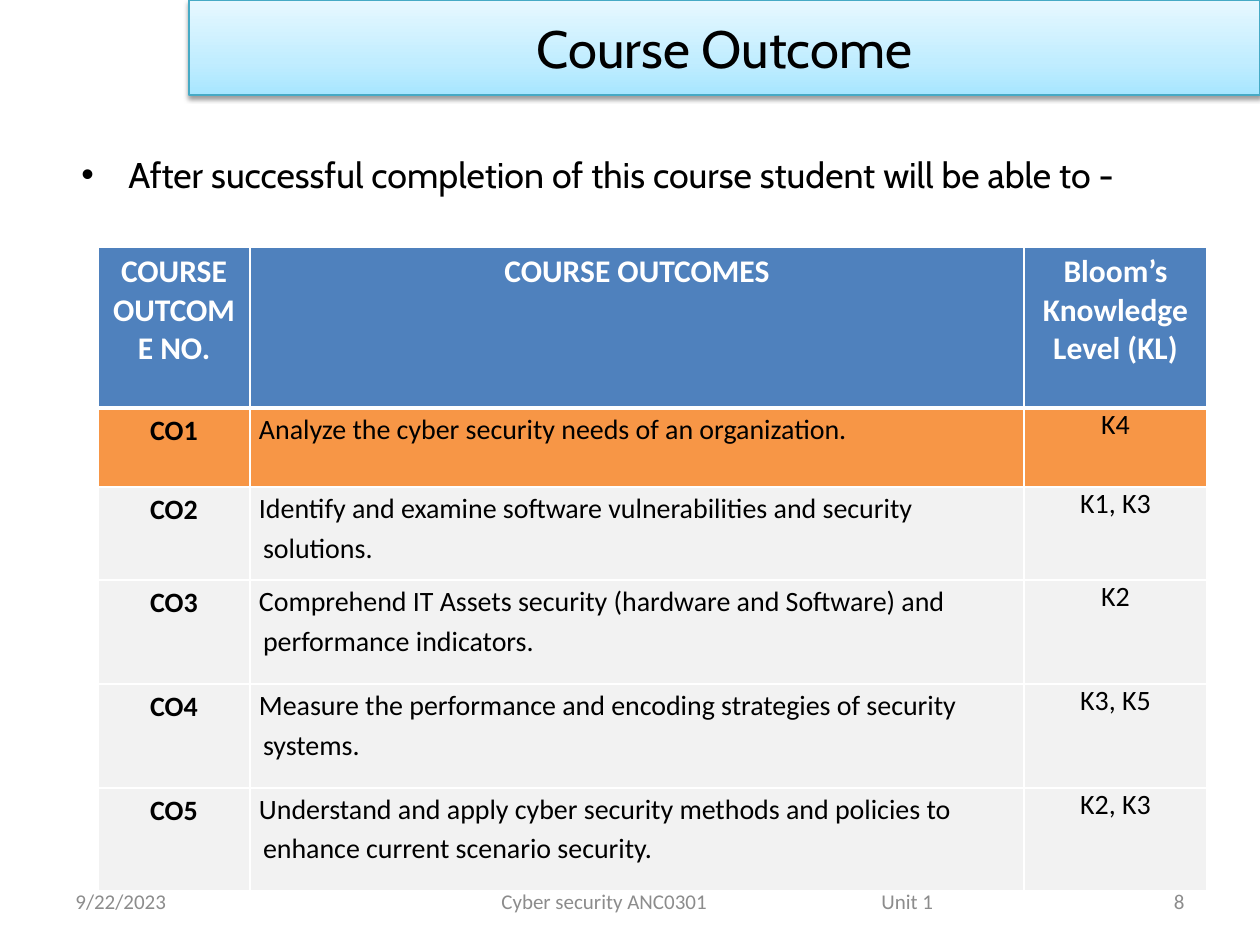
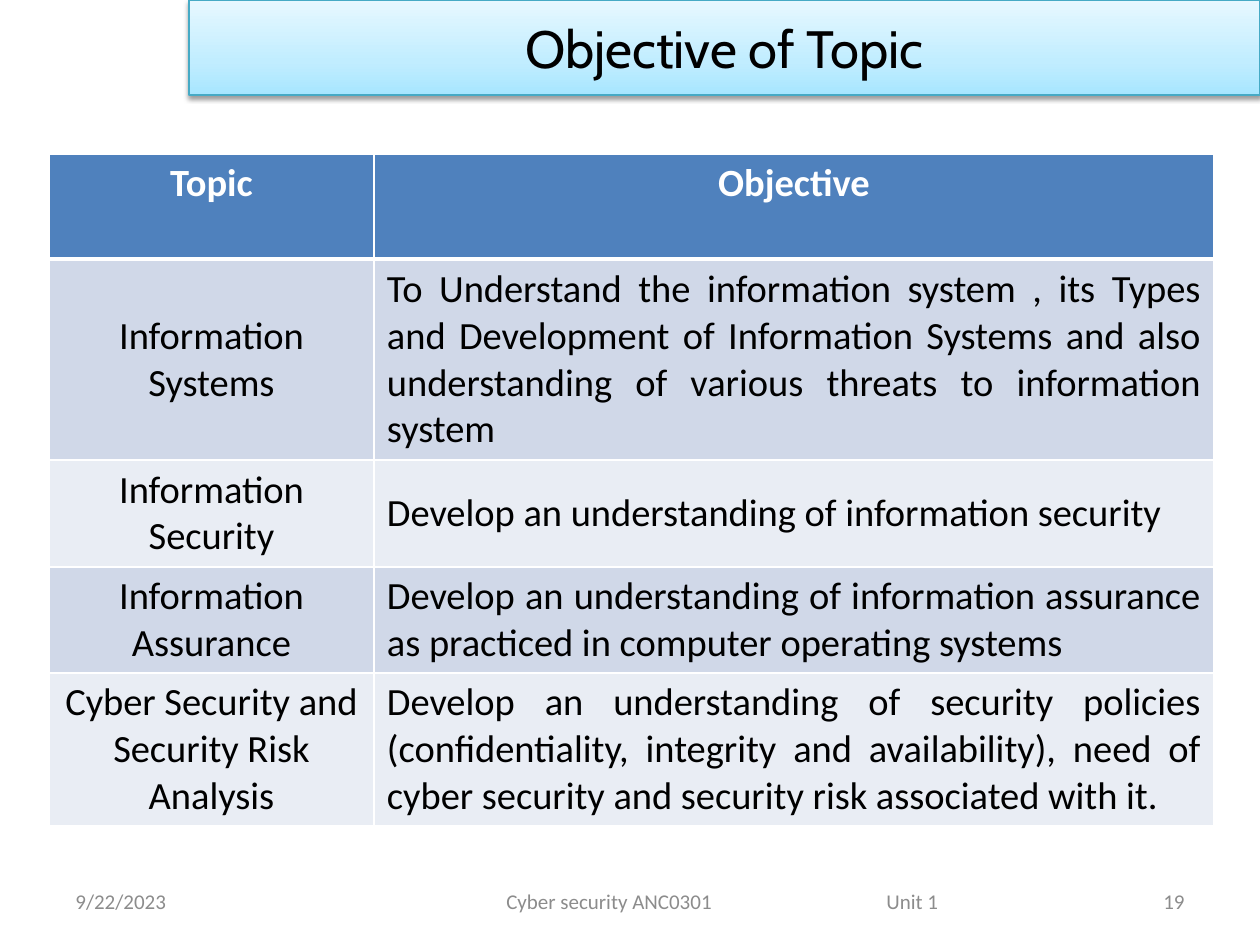
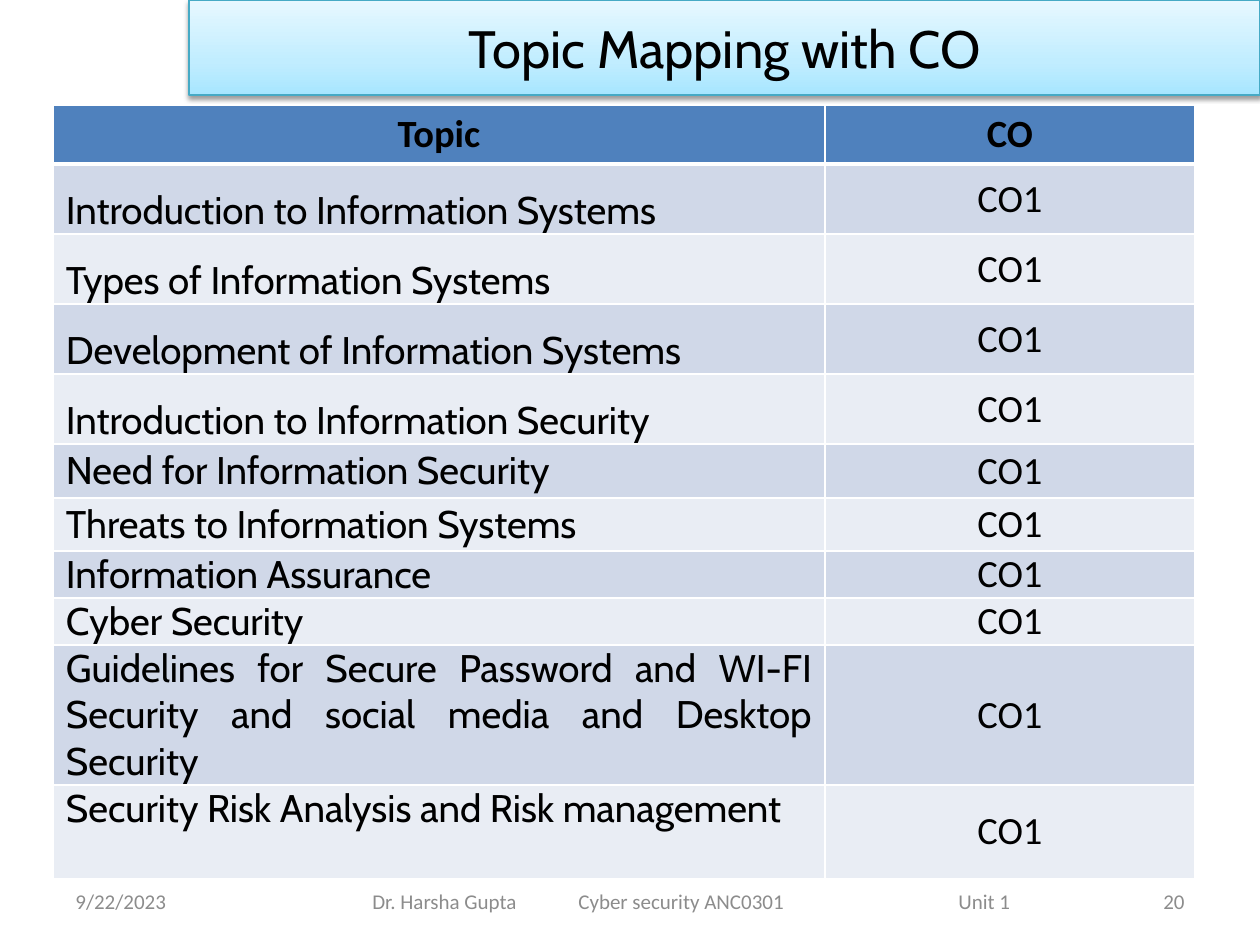
"""Builds three course slides: outcomes, topic objectives and topic mapping."""
import dataclasses
import itertools

import lxml.etree
import pptx
import pptx.dml.color
import pptx.enum.shapes
import pptx.enum.text
import pptx.oxml.ns
import pptx.util

ALIGN = pptx.enum.text.PP_ALIGN
ANCHOR = pptx.enum.text.MSO_ANCHOR
EMU_PER_PX = 914400 / 126


@dataclasses.dataclass(frozen=True)
class Theme:
    """Colours, fonts and type sizes of the deck."""
    black: str = "000000"
    white: str = "FFFFFF"
    muted: str = "8C8C8C"
    header: str = "4F81BD"
    bands: tuple = ("D0D8E8", "E9EDF4")
    highlight: str = "F79646"
    plain: str = "F2F2F2"
    banner_line: str = "46AAC5"
    banner_stops: tuple = ((0, "A7E6FF"), (35, "C1EDFF"), (100, "E7F8FF"))
    display: str = "Cabin"
    body: str = "Calibri"
    title_size: float = 30
    lead_size: float = 20.4
    table_size: float = 22
    outcome_head_size: float = 18
    outcome_size: float = 16
    footer_size: float = 12


THEME = Theme()


@dataclasses.dataclass(frozen=True)
class Style:
    """Looks of one piece of text."""
    size: float = THEME.table_size
    font: str = THEME.body
    color: str = THEME.black
    bold: bool = False
    align: int = ALIGN.CENTER
    anchor: int = ANCHOR.MIDDLE
    inset_x: int = 13
    inset_y: int = 6
    line_spacing: float = 1.0
    margin: int = 0
    indent: int = 0


def px(length):
    """Turns px into EMU."""
    return pptx.util.Emu(round(length * EMU_PER_PX))


def rgb(color):
    """Turns a hex string into a colour."""
    return pptx.dml.color.RGBColor.from_string(color)


def add_xml(parent, tag, **attributes):
    """Appends a drawing element with attributes."""
    values = {name: str(value) for name, value in attributes.items()}
    return lxml.etree.SubElement(parent, pptx.oxml.ns.qn(tag), values)


def format_paragraph(paragraph, style):
    """Applies a style to a paragraph and its runs."""
    paragraph.alignment = style.align
    if style.line_spacing != 1:
        paragraph.line_spacing = style.line_spacing
    if style.indent:
        properties = paragraph._p.get_or_add_pPr()
        properties.set("marL", str(px(style.margin)))
        properties.set("indent", str(px(style.indent)))
    for run in paragraph.runs:
        run.font.size = pptx.util.Pt(style.size)
        run.font.name = style.font
        run.font.bold = style.bold
        run.font.color.rgb = rgb(style.color)


class Deck:
    """Holds the theme, the presentation and the current slide."""

    def __init__(self, theme):
        self.theme = theme
        self.presentation = pptx.Presentation()
        self.presentation.slide_width = px(1260)
        self.presentation.slide_height = px(945)
        self.slide = None

    def start_slide(self, title, page, footer):
        """Adds a slide with its banner and footer."""
        self.slide = self.presentation.slides.add_slide(self.presentation.slide_layouts[6])
        self.banner(title)
        foot = Style(size=self.theme.footer_size, color=self.theme.muted, align=ALIGN.LEFT)
        self.text("9/22/2023", 63, 876, 294, 50, foot)
        self.text(page, 903, 876, 294, 50, dataclasses.replace(foot, align=ALIGN.RIGHT))
        course = self.text("".join("\t" + label for label, _ in footer), 346, 876, 693, 50, foot)
        tabs = add_xml(course._p.get_or_add_pPr(), "a:tabLst")
        for _, stop in footer:
            add_xml(tabs, "a:tab", pos=px(stop), algn="l")

    def banner(self, title):
        """Draws the gradient title band."""
        band = self.slide.shapes.add_shape(
            pptx.enum.shapes.MSO_SHAPE.RECTANGLE, px(189), 0, px(1071), px(95))
        band.line.color.rgb = rgb(self.theme.banner_line)
        band.line.width = pptx.util.Pt(0.75)
        band.fill.gradient()
        band.fill.gradient_angle = 90
        properties = band._element.spPr
        stops = properties.find(".//" + pptx.oxml.ns.qn("a:gsLst"))
        stops.clear()
        for position, color in self.theme.banner_stops:
            stop = add_xml(stops, "a:gs", pos=position * 1000)
            add_xml(stop, "a:srgbClr", val=color)
        band.shadow.inherit = False
        effects = properties.find(pptx.oxml.ns.qn("a:effectLst"))
        shadow = add_xml(effects, "a:outerShdw", blurRad=pptx.util.Pt(3.1),
                         dist=pptx.util.Pt(1.6), dir=5400000, rotWithShape=0)
        shade = add_xml(shadow, "a:srgbClr", val=self.theme.black)
        add_xml(shade, "a:alpha", val=38000)
        band.text_frame.text = title
        band.text_frame.vertical_anchor = ANCHOR.MIDDLE
        format_paragraph(band.text_frame.paragraphs[0],
                         Style(size=self.theme.title_size, font=self.theme.display))

    def text(self, words, left, top, width, height, style):
        """Adds a text box and returns its paragraph."""
        frame = self.slide.shapes.add_textbox(px(left), px(top), px(width), px(height)).text_frame
        frame.word_wrap = True
        frame.vertical_anchor = style.anchor
        frame.text = words
        format_paragraph(frame.paragraphs[0], style)
        return frame.paragraphs[0]

    def bullet(self, words, left, top, width, height, style):
        """Adds a bulleted line."""
        properties = self.text(words, left, top, width, height, style)._p.get_or_add_pPr()
        add_xml(properties, "a:buFont", typeface="Arial")
        add_xml(properties, "a:buChar", char="•")

    def table(self, left, top, widths, heights, rows, fills):
        """Adds a table whose rows hold pairs of words and style."""
        grid = self.slide.shapes.add_table(
            len(rows), len(widths), px(left), px(top), px(sum(widths)), px(sum(heights))).table
        for column, width in zip(grid.columns, widths):
            column.width = px(width)
        for index, (row, height, entries, fill) in enumerate(
                zip(grid.rows, heights, rows, fills)):
            row.height = px(height)
            edges = {"L": 1, "R": 1, "T": 3 if index == 1 else 1, "B": 3 if index == 0 else 1}
            for cell, (words, style) in zip(row.cells, entries):
                self.cell(cell, words, style, fill, edges)

    def cell(self, cell, words, style, fill, edges):
        """Fills, borders and writes one table cell."""
        properties = cell._tc.get_or_add_tcPr()
        for side, weight in edges.items():
            edge = add_xml(properties, "a:ln" + side, w=pptx.util.Pt(weight))
            add_xml(add_xml(edge, "a:solidFill"), "a:srgbClr", val=self.theme.white)
        cell.fill.solid()
        cell.fill.fore_color.rgb = rgb(fill)
        cell.margin_left = cell.margin_right = px(style.inset_x)
        cell.margin_top = cell.margin_bottom = px(style.inset_y)
        cell.vertical_anchor = style.anchor
        cell.text = words
        format_paragraph(cell.text_frame.paragraphs[0], style)


def course_outcome(deck):
    """Builds the slide of course outcomes."""
    theme = deck.theme
    deck.start_slide("Course Outcome", "8", [("Cyber security ANC0301", 143), ("Unit 1", 523)])
    deck.bullet("After successful completion of this course student will be able to -",
                69, 147, 1134, 59,
                Style(size=theme.lead_size, font=theme.display, align=ALIGN.JUSTIFY,
                      anchor=ANCHOR.TOP, margin=47, indent=-47))
    head = Style(size=theme.outcome_head_size, color=theme.white, bold=True, anchor=ANCHOR.TOP)
    number = Style(size=theme.outcome_size, bold=True, anchor=ANCHOR.TOP)
    level = dataclasses.replace(number, bold=False, inset_x=9, inset_y=0)
    outcome = dataclasses.replace(level, align=ALIGN.LEFT, line_spacing=1.15,
                                  margin=4, indent=-38)
    outcomes = [
        ("Analyze the cyber security needs of an organization.", "K4"),
        ("Identify and examine software vulnerabilities and security solutions.", "K1, K3"),
        ("Comprehend IT Assets security (hardware and Software) and performance indicators.",
         "K2"),
        ("Measure the performance and encoding strategies of security systems.", "K3, K5"),
        ("Understand and apply cyber security methods and policies to enhance current "
         "scenario security.", "K2, K3"),
    ]
    titles = ["COURSE OUTCOME NO.", "COURSE OUTCOMES", "Bloom’s Knowledge Level (KL)"]
    rows = [[(title, head) for title in titles]]
    rows += [[(f"CO{index}", number), (words, outcome), (levels, level)]
             for index, (words, levels) in enumerate(outcomes, 1)]
    deck.table(98, 247, [152, 774, 183], [161, 79, 93, 104, 104, 103], rows,
               [theme.header, theme.highlight] + [theme.plain] * 4)


def topic_objective(deck):
    """Builds the slide of topic objectives."""
    theme = deck.theme
    deck.start_slide("Objective of Topic", "19",
                     [("Cyber security ANC0301", 148), ("Unit 1", 528)])
    head = Style(color=theme.white, bold=True, anchor=ANCHOR.TOP)
    topic = Style()
    objective = Style(align=ALIGN.JUSTIFY)
    objectives = [
        ("Information Systems",
         "To Understand the information system , its Types and Development of Information "
         "Systems and also understanding of various threats to information system"),
        ("Information Security", "Develop an understanding of information security"),
        ("Information Assurance",
         "Develop an understanding of information assurance as practiced in computer "
         "operating systems"),
        ("Cyber Security and Security Risk Analysis",
         "Develop an understanding of security policies (confidentiality, integrity and "
         "availability), need of cyber security and security risk associated with it."),
    ]
    rows = [[("Topic", head), ("Objective", head)]]
    rows += [[(name, topic), (words, objective)] for name, words in objectives]
    deck.table(49, 154, [325, 840], [105, 201, 107, 106, 153], rows,
               itertools.chain([theme.header], itertools.cycle(theme.bands)))


def topic_mapping(deck):
    """Builds the slide that maps topics to outcomes."""
    theme = deck.theme
    deck.start_slide("Topic Mapping with CO", "20",
                     [("Dr. Harsha Gupta", 14), ("Cyber security ANC0301", 220),
                      ("Unit 1", 600)])
    outcome = Style(inset_y=0)
    head = dataclasses.replace(outcome, bold=True)
    topic = dataclasses.replace(outcome, font=theme.display, align=ALIGN.JUSTIFY)
    spaced = dataclasses.replace(topic, line_spacing=1.5)
    raised = dataclasses.replace(topic, anchor=ANCHOR.TOP)
    topics = [
        ("Introduction to Information Systems", spaced),
        ("Types of Information Systems", spaced),
        ("Development of Information Systems", spaced),
        ("Introduction to Information Security", spaced),
        ("Need for Information Security", topic),
        ("Threats to Information Systems", topic),
        ("Information Assurance", topic),
        ("Cyber Security", topic),
        ("Guidelines for Secure Password and WI-FI Security and social media and "
         "Desktop Security", topic),
        ("Security Risk Analysis and Risk management", raised),
    ]
    rows = [[("Topic", head), ("CO", head)]]
    rows += [[entry, ("CO1", outcome)] for entry in topics]
    deck.table(53, 105, [772, 370], [59] + [70] * 4 + [54, 53, 47, 47, 140, 94], rows,
               itertools.chain([theme.header], itertools.cycle(theme.bands)))


def main():
    """Builds and saves the deck."""
    deck = Deck(THEME)
    course_outcome(deck)
    topic_objective(deck)
    topic_mapping(deck)
    deck.presentation.save("out.pptx")


if __name__ == "__main__":
    main()
